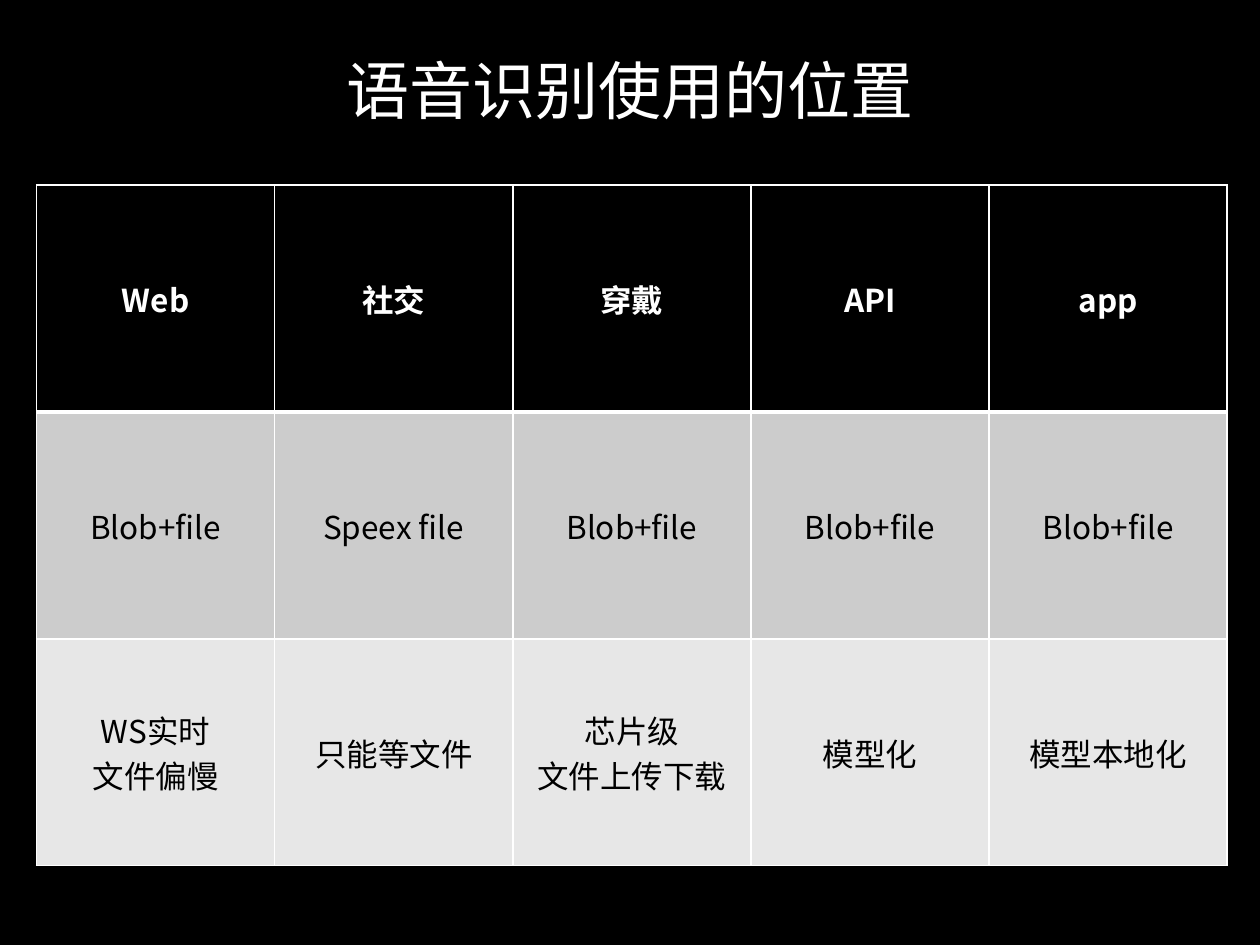
"""Build a slide with a table of where speech recognition is used."""
import pptx
import pptx.dml.color
import pptx.enum.text
import pptx.oxml.ns
import pptx.util
from lxml import etree
from pptx.util import Inches

TITLE = "语音识别使用的位置"
ROWS = [
    ["Web", "社交", "穿戴", "API", "app"],
    ["Blob+file", "Speex file", "Blob+file", "Blob+file", "Blob+file"],
    ["WS实时\n文件偏慢", "只能等文件", "芯片级\n文件上传下载", "模型化", "模型本地化"],
]
COLORS = {"black": "000000", "white": "FFFFFF", "dark": "CCCCCC", "light": "E7E7E7"}
ROW_FILLS = ["black", "dark", "light"]
FONT = "Noto Sans CJK SC"
LEFT, TOP, COL_W, ROW_H = 0.29, 1.47, 1.89, 1.8
qn = pptx.oxml.ns.qn


def rgb(name):
    return pptx.dml.color.RGBColor.from_string(COLORS[name])


def write(tf, text, size=18, color="black", bold=False):
    tf.word_wrap = True
    tf.vertical_anchor = pptx.enum.text.MSO_ANCHOR.MIDDLE
    for i, line in enumerate(text.split("\n")):
        p = tf.paragraphs[0] if i == 0 else tf.add_paragraph()
        p.alignment = pptx.enum.text.PP_ALIGN.CENTER
        r = p.add_run()
        r.text = line
        r.font.name = FONT
        r.font.size = pptx.util.Pt(size)
        r.font.bold = bold
        r.font.color.rgb = rgb(color)
        etree.SubElement(r.font._element, qn("a:ea"), typeface=FONT)


def add_borders(cell, **widths):
    tcPr = cell._tc.get_or_add_tcPr()
    for side, width in widths.items():
        ln = etree.SubElement(tcPr, qn(f"a:ln{side}"), w=str(pptx.util.Pt(width)))
        fill = etree.SubElement(ln, qn("a:solidFill"))
        etree.SubElement(fill, qn("a:srgbClr"), val=COLORS["white"])


def main():
    prs = pptx.Presentation()
    prs.slide_width, prs.slide_height = Inches(10), Inches(7.5)
    s = prs.slides.add_slide(prs.slide_layouts[6])
    s.background.fill.solid()
    s.background.fill.fore_color.rgb = rgb("black")

    title = s.shapes.add_textbox(Inches(1.99), Inches(0.35), Inches(6.02), Inches(0.71))
    write(title.text_frame, TITLE, size=36, color="white")

    n_rows, n_cols = len(ROWS), len(ROWS[0])
    table = s.shapes.add_table(n_rows, n_cols, Inches(LEFT), Inches(TOP),
                               Inches(COL_W * n_cols), Inches(ROW_H * n_rows)).table
    for i, row in enumerate(ROWS):
        header = i == 0
        for j, text in enumerate(row):
            cell = table.cell(i, j)
            add_borders(cell, L=1, R=1, T=3 if i == 1 else 1, B=3 if header else 1)
            cell.fill.solid()
            cell.fill.fore_color.rgb = rgb(ROW_FILLS[i])
            cell.vertical_anchor = pptx.enum.text.MSO_ANCHOR.MIDDLE
            write(cell.text_frame, text, color="white" if header else "black", bold=header)

    prs.save("out.pptx")


if __name__ == "__main__":
    main()
